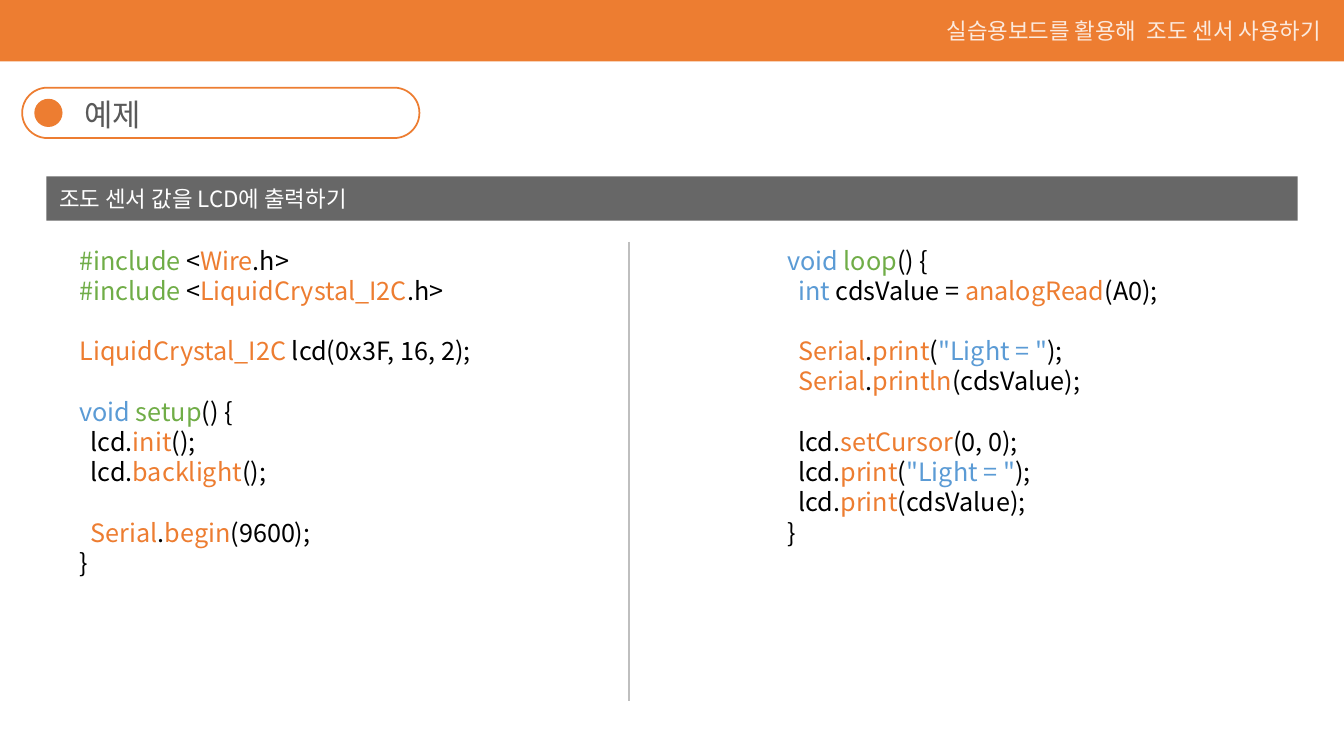
import pptx
import pptx.util
import pptx.dml.color
import pptx.enum.shapes
import pptx.enum.text
import pptx.oxml
import pptx.oxml.ns

Inch = pptx.util.Inches
Pt = pptx.util.Pt
RGB = pptx.dml.color.RGBColor
Kind = pptx.enum.shapes.MSO_SHAPE
Anchor = pptx.enum.text.MSO_ANCHOR

ORANGE = RGB(0xED, 0x7D, 0x31)
GREEN = RGB(0x70, 0xAD, 0x47)
BLUE = RGB(0x5B, 0x9B, 0xD5)
GRAY = RGB(0x59, 0x59, 0x59)
SILVER = RGB(0xBF, 0xBF, 0xBF)
WHITE = RGB(0xFF, 0xFF, 0xFF)
BLACK = RGB(0x00, 0x00, 0x00)

FACE = "Noto Sans CJK KR"
WIDE, HIGH = 13.33, 7.5
PITCH = 1.2

WORDS = {
    GREEN: ["#include", "setup", "loop"],
    BLUE: ["void", "int", '"Light = "'],
    ORANGE: ["Wire", "LiquidCrystal_I2C", "Serial", "init", "backlight", "begin",
             "analogRead", "print", "println", "setCursor"],
}
TINTS = {word: tint for tint, words in WORDS.items() for word in words}

SETUP = """#include |<|Wire|.h>
#include |<|LiquidCrystal_I2C|.h>

LiquidCrystal_I2C |lcd(0x3F, 16, 2);

void |setup|() {
  lcd.|init|();
  lcd.|backlight|();

  |Serial|.|begin|(9600);
}"""

LOOP = """void |loop|() {
  |int |cdsValue = |analogRead|(A0);

  |Serial|.|print|(|"Light = "|);
  |Serial|.|println|(cdsValue);

  lcd.|setCursor|(0, 0);
  lcd.|print|(|"Light = "|);
  lcd.|print|(cdsValue);
}"""


def node(tag, **attrs):
    """Make a drawing element with the given attributes."""
    item = pptx.oxml.parse_xml(f"<a:{tag} {pptx.oxml.ns.nsdecls('a')}/>")
    for key, value in attrs.items():
        item.set(key, value)
    return item


def fade(owner, share):
    """Set the opacity of the first solid colour inside an element."""
    tint = next(owner.iter(pptx.oxml.ns.qn("a:srgbClr")))
    tint.append(node("alpha", val=str(share * 1000)))


def block(slide, kind, box, fill, edge=None):
    """Draw a filled preset shape in a box."""
    shape = slide.shapes.add_shape(kind, *map(Inch, box))
    shape.shadow.inherit = False
    shape.fill.solid()
    shape.fill.fore_color.rgb = fill
    if edge is None:
        shape.line.fill.background()
    else:
        shape.line.color.rgb = edge
        shape.line.width = Pt(1.25)
    return shape


def style(run, size, tint):
    """Set the face, size and colour of a run."""
    run.font.size = Pt(size)
    run.font.color.rgb = tint
    run.font.name = FACE
    run.font._element.append(node("ea", typeface=FACE))


def label(slide, box, text, size, tint, anchor=Anchor.TOP):
    """Write one line of text in a box and return its run."""
    frame = slide.shapes.add_textbox(*map(Inch, box)).text_frame
    frame.word_wrap = True
    frame.vertical_anchor = anchor
    frame.text = text
    para = frame.paragraphs[0]
    para.line_spacing = Pt(size * PITCH)
    style(para.runs[0], size, tint)
    return para.runs[0]


def code(slide, box, text, size=18):
    """Write coloured code, turning blank lines into paragraph spacing."""
    frame = slide.shapes.add_textbox(*map(Inch, box)).text_frame
    frame.word_wrap = True
    para = frame.paragraphs[0]
    for chunk, part in enumerate(text.split("\n\n")):
        for row, line in enumerate(part.split("\n")):
            if chunk or row:
                para = frame.add_paragraph()
            para.line_spacing = Pt(size * PITCH)
            if chunk and row == 0:
                para.space_before = Pt(size * PITCH)
            for piece in line.split("|"):
                run = para.add_run()
                run.text = piece
                style(run, size, TINTS.get(piece.strip(), BLACK))


def header(slide, box):
    """Draw the top band with the lesson name."""
    left, top, width, height = box
    block(slide, Kind.RECTANGLE, box, ORANGE)
    spot = (left + width - 4.04, top + 0.12, 4.04, 0.37)
    run = label(slide, spot, "실습용보드를 활용해  조도 센서 사용하기", 16, WHITE)
    fade(run.font._element, 83)


def title(slide, box):
    """Draw the rounded title pill with its dot."""
    left, top, width, height = box
    pill = block(slide, Kind.ROUNDED_RECTANGLE, box, WHITE, ORANGE)
    pill.adjustments[0] = 0.5
    dot = 0.28
    block(slide, Kind.OVAL, (left + 0.12, top + (height - dot) / 2, dot, dot), ORANGE)
    spot = (left + 0.52, top + 0.07, width - 0.68, 0.38)
    label(slide, spot, "예제", 22, GRAY, Anchor.MIDDLE)


def topic(slide, box):
    """Draw the gray bar naming the example."""
    left, top, width, height = box
    bar = block(slide, Kind.RECTANGLE, box, GRAY)
    fade(bar._element.spPr, 91)
    spot = (left + 0.03, top + 0.04, width / 2, 0.37)
    label(slide, spot, "조도 센서 값을 LCD에 출력하기", 16, WHITE)


def listing(slide, box):
    """Place two code columns with a rule between them."""
    left, top, width, height = box
    for shift, text in ((0.23, SETUP), (7.25, LOOP)):
        code(slide, (left + shift, top, 4.87, 3.43), text)
    mid = left + 5.78
    rule = slide.shapes.add_connector(
        pptx.enum.shapes.MSO_CONNECTOR.STRAIGHT,
        *map(Inch, (mid, top + 0.02, mid, top + height)))
    rule.line.color.rgb = SILVER
    rule.line.width = Pt(1.75)
    rule._element.spPr.append(node("effectLst"))


def main():
    """Build and save the slide."""
    deck = pptx.Presentation()
    deck.slide_width, deck.slide_height = Inch(WIDE), Inch(HIGH)
    slide = deck.slides.add_slide(deck.slide_layouts[6])
    header(slide, (0, 0, WIDE, 0.61))
    title(slide, (0.22, 0.87, 3.94, 0.5))
    topic(slide, (0.46, 1.75, 12.41, 0.44))
    listing(slide, (0.46, 2.38, 12.41, 4.57))
    deck.save("out.pptx")


if __name__ == "__main__":
    main()
